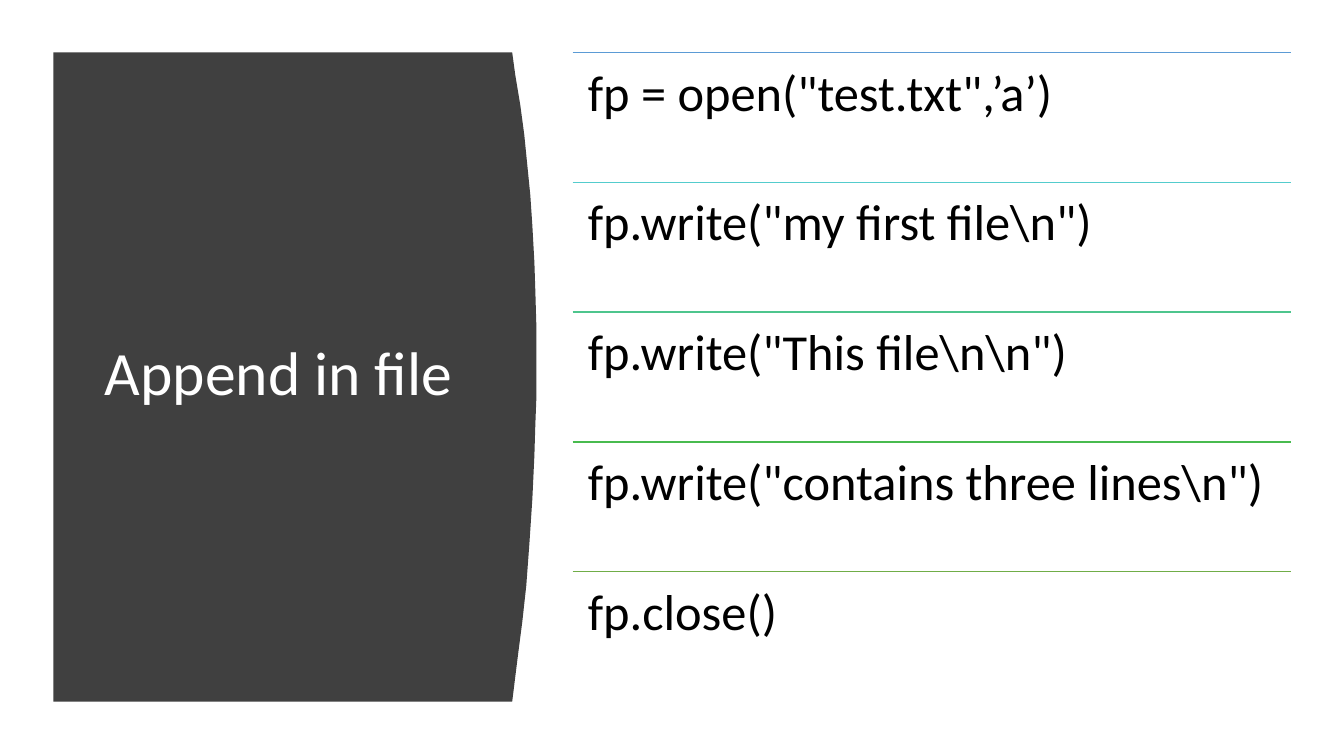
from pptx import Presentation
from pptx.dml.color import RGBColor
from pptx.enum.shapes import MSO_CONNECTOR
from pptx.enum.text import MSO_ANCHOR, MSO_AUTO_SIZE, PP_ALIGN
from pptx.util import Inches, Pt
from lxml.etree import SubElement
from pptx.oxml.ns import qn

TITLE = "Append in file"
STEPS = [
    ('fp = open("test.txt",’a’)', "5B9BD5"),
    ('fp.write("my first file\\n")', "54CCCD"),
    ('fp.write("This file\\n\\n")', "4DC58D"),
    ('fp.write("contains three lines\\n")', "48BB4F"),
    ("fp.close()", "70AD47"),
]
THEME = {
    "font": "Calibri",
    "panel": "404040",
    "title": ("FFFFFF", 44),
    "code": ("000000", 36),
}
PANEL_LEFT, TOP, BOTTOM = 0.53, 0.52, 6.96
PANEL_EDGE = [
    (5.08, TOP), (5.11, 0.74), (5.16, 1.04), (5.2, 1.34), (5.23, 1.64),
    (5.26, 1.94), (5.28, 2.24), (5.3, 2.6), (5.31, 2.9), (5.32, 3.25),
    (5.32, 3.94), (5.31, 4.2), (5.3, 4.52), (5.28, 4.95), (5.25, 5.4),
    (5.22, 5.81), (5.18, 6.17), (5.14, 6.48), (5.11, 6.72), (5.08, BOTTOM),
]
LIST_LEFT, LIST_WIDTH, INSET = 5.68, 7.12, 0.15
ROW_HEIGHT = (BOTTOM - TOP) / len(STEPS)


def write(tf, text, style):
    color, size = style
    tf.word_wrap = True
    tf.auto_size = MSO_AUTO_SIZE.NONE
    p = tf.paragraphs[0]
    p.alignment = PP_ALIGN.LEFT
    p.line_spacing = 0.9
    r = p.add_run()
    r.text = text
    r.font.name = THEME["font"]
    r.font.size = Pt(size)
    r.font.color.rgb = RGBColor.from_string(color)


def add_panel(s):
    corners = [(Inches(x), Inches(y)) for x, y in PANEL_EDGE + [(PANEL_LEFT, BOTTOM)]]
    builder = s.shapes.build_freeform(Inches(PANEL_LEFT), Inches(TOP))
    builder.add_line_segments(corners, close=True)
    sp = builder.convert_to_shape()
    sp.shadow.inherit = False
    sp.fill.solid()
    sp.fill.fore_color.rgb = RGBColor.from_string(THEME["panel"])
    sp.line.fill.background()
    return sp


def add_title(s, panel):
    sp = s.shapes.title
    sp.left, sp.top, sp.width, sp.height = map(Inches, (0.94, 1.11, 3.74, 5.24))
    sp.text_frame.vertical_anchor = MSO_ANCHOR.MIDDLE
    write(sp.text_frame, TITLE, THEME["title"])
    panel._element.addnext(sp._element)


def add_step(s, y, text, color):
    left, top, width = Inches(LIST_LEFT), Inches(y), Inches(LIST_WIDTH)
    rule = s.shapes.add_connector(MSO_CONNECTOR.STRAIGHT, left, top, left + width, top)
    rule.line.width = Pt(1)
    rule.line.color.rgb = RGBColor.from_string(color)
    SubElement(rule._element.spPr, qn("a:effectLst"))
    tf = s.shapes.add_textbox(left, top, width, Inches(ROW_HEIGHT)).text_frame
    tf.margin_left = tf.margin_right = tf.margin_top = tf.margin_bottom = Inches(INSET)
    write(tf, text, THEME["code"])


def main():
    prs = Presentation()
    prs.slide_width, prs.slide_height = Inches(13.33), Inches(7.5)
    s = prs.slides.add_slide(prs.slide_layouts[5])
    add_title(s, add_panel(s))
    for i, (text, color) in enumerate(STEPS):
        add_step(s, TOP + i * ROW_HEIGHT, text, color)
    prs.save("out.pptx")


if __name__ == "__main__":
    main()
